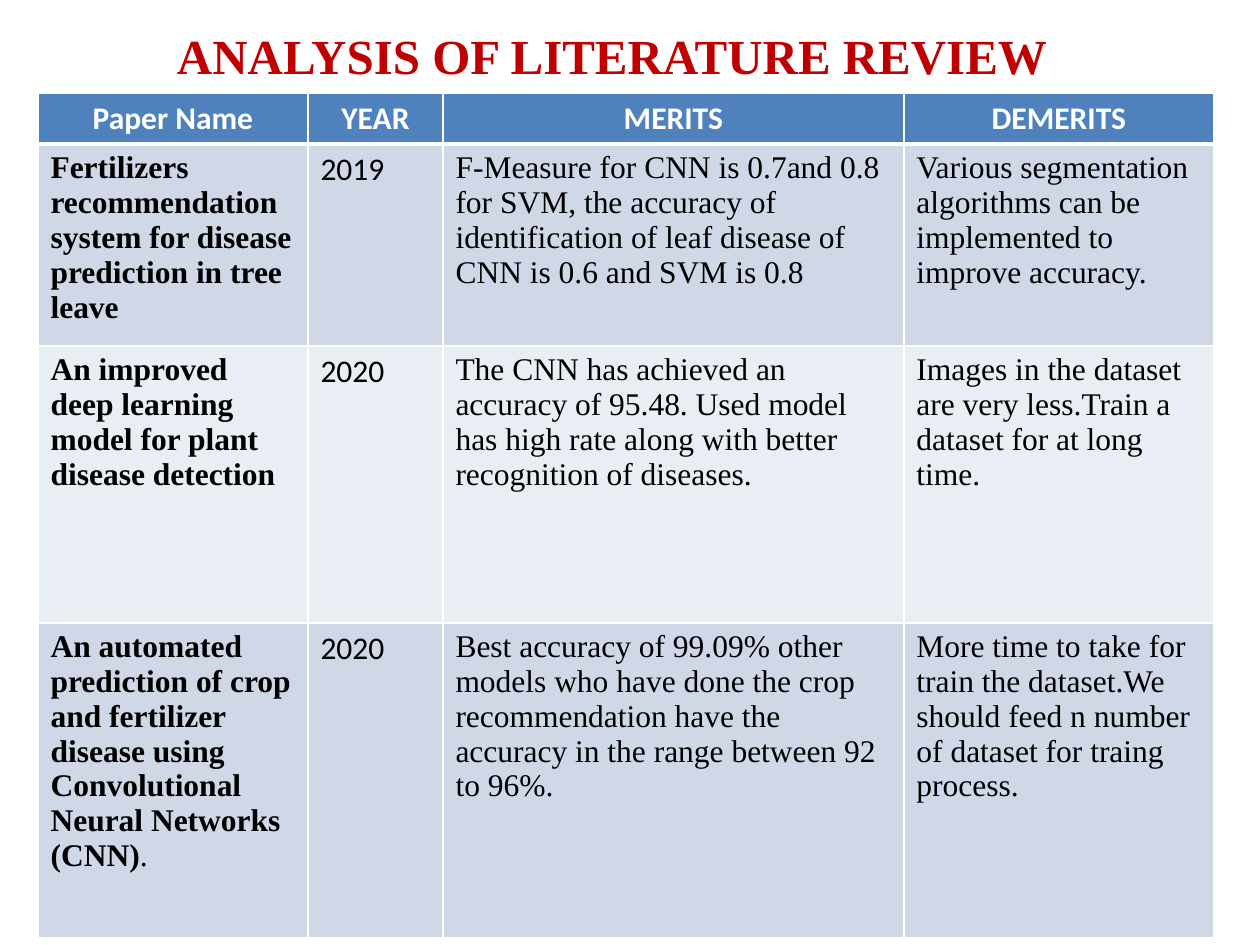
"""Build the literature review slide: a title above a four-column table."""
from dataclasses import dataclass

from lxml import etree
from pptx import Presentation
from pptx import util as u
from pptx.dml.color import RGBColor
from pptx.enum import text
from pptx.oxml.ns import qn

PX = u.Inches(1) // 126
SANS, SERIF = "Calibri", "Times New Roman"
WHITE = RGBColor(0xFF, 0xFF, 0xFF)
BLACK = RGBColor(0x00, 0x00, 0x00)
RED = RGBColor(0xC0, 0x00, 0x00)
BLUE = RGBColor(0x4F, 0x81, 0xBD)
BANDS = (RGBColor(0xD0, 0xD8, 0xE8), RGBColor(0xE9, 0xED, 0xF4))
COLUMNS = (270, 135, 461, 310)
ROWS = (50, 202, 277, 315)
HEADINGS = ("Paper Name", "YEAR", "MERITS", "DEMERITS")


@dataclass
class Style:
    font: str
    color: RGBColor = BLACK
    bold: bool = False
    size: int = 18


@dataclass
class Paper:
    name: str
    year: str
    merits: str
    demerits: str
    name_end: str = ""


TITLE = Style(SERIF, RED, True, 28)
HEADING = Style(SANS, WHITE, True)
NAME = Style(SERIF, bold=True)
YEAR = Style(SANS)
BODY = Style(SERIF)

PAPERS = (
    Paper("Fertilizers recommendation system for disease prediction in tree leave",
          "2019",
          "F-Measure for CNN is 0.7and 0.8 for SVM, the accuracy of "
          "identification of leaf disease of CNN is 0.6 and SVM is 0.8",
          "Various segmentation algorithms can be implemented to improve accuracy."),
    Paper("An improved deep learning model for plant disease detection",
          "2020",
          "The CNN has achieved an accuracy of 95.48. Used model has high rate "
          "along with better recognition of diseases.",
          "Images in the dataset are very less.Train a dataset for at long time."),
    Paper("An automated prediction of crop and fertilizer disease using "
          "Convolutional Neural Networks (CNN)",
          "2020",
          "Best accuracy of 99.09% other models who have done the crop "
          "recommendation have the accuracy in the range between 92 to 96%.",
          "More time to take for train the dataset.We should feed n number of "
          "dataset for traing process.",
          "."),
)


def add_run(p, words: str, style: Style) -> None:
    r = p.add_run()
    r.text = words
    r.font.name, r.font.size = style.font, u.Pt(style.size)
    r.font.bold, r.font.color.rgb = style.bold, style.color


def set_borders(cell, top: int, bottom: int) -> None:
    pr = cell._tc.get_or_add_tcPr()
    widths = {"a:lnL": 1, "a:lnR": 1, "a:lnT": top, "a:lnB": bottom}
    for i, (tag, width) in enumerate(widths.items()):
        ln = etree.Element(qn(tag), w=str(u.Pt(width)))
        fill = etree.SubElement(ln, qn("a:solidFill"))
        etree.SubElement(fill, qn("a:srgbClr"), val=str(WHITE))
        pr.insert(i, ln)


def fill_cell(cell, runs: list[tuple[str, Style]], color: RGBColor,
              top: int = 1, bottom: int = 1, centred: bool = False) -> None:
    cell.fill.solid()
    cell.fill.fore_color.rgb = color
    set_borders(cell, top, bottom)
    p = cell.text_frame.paragraphs[0]
    p.alignment = text.PP_ALIGN.CENTER if centred else text.PP_ALIGN.LEFT
    for words, style in runs:
        if words:
            add_run(p, words, style)


def add_papers(s) -> None:
    table = s.shapes.add_table(len(ROWS), len(COLUMNS), 38 * PX, 93 * PX,
                               sum(COLUMNS) * PX, sum(ROWS) * PX).table
    for column, width in zip(table.columns, COLUMNS):
        column.width = width * PX
    for row, height in zip(table.rows, ROWS):
        row.height = height * PX
    for i, heading in enumerate(HEADINGS):
        fill_cell(table.cell(0, i), [(heading, HEADING)], BLUE, bottom=3, centred=True)
    for n, paper in enumerate(PAPERS):
        row = ([(paper.name, NAME), (paper.name_end, BODY)], [(paper.year, YEAR)],
               [(paper.merits, BODY)], [(paper.demerits, BODY)])
        for i, runs in enumerate(row):
            fill_cell(table.cell(n + 1, i), runs, BANDS[n % 2], top=1 if n else 3)


def add_title(s) -> None:
    sp = s.shapes.add_textbox(74 * PX, 14 * PX, 1087 * PX, 131 * PX)
    tf = sp.text_frame
    tf.word_wrap = True
    tf.margin_top = 11 * PX
    p = tf.paragraphs[0]
    p.alignment = text.PP_ALIGN.CENTER
    add_run(p, "ANALYSIS OF LITERATURE REVIEW ", TITLE)


def main() -> None:
    prs = Presentation()
    prs.slide_width, prs.slide_height = 1260 * PX, 945 * PX
    s = prs.slides.add_slide(prs.slide_layouts[6])
    add_papers(s)
    add_title(s)
    prs.save("out.pptx")


if __name__ == "__main__":
    main()
